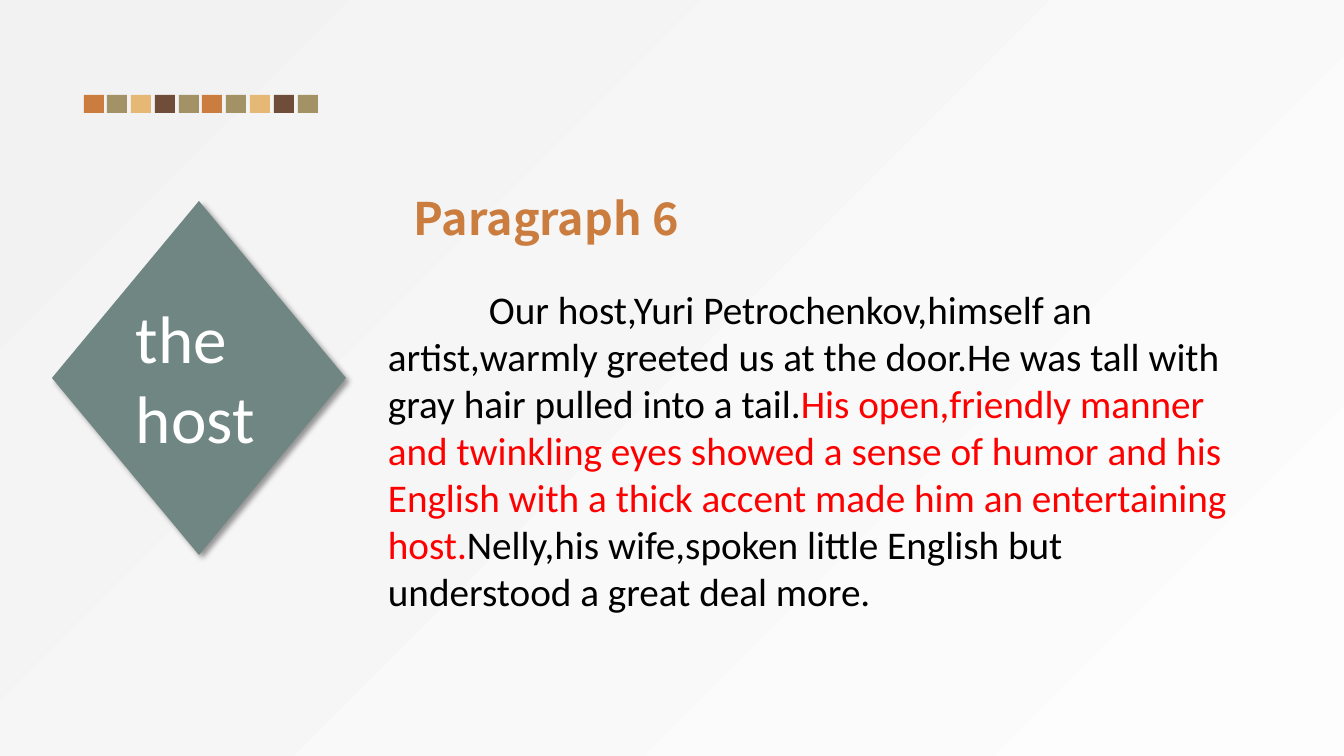
"""Build the slide about the host in paragraph 6."""
from lxml.etree import SubElement
from pptx import Presentation
from pptx.dml.color import RGBColor
from pptx.enum.shapes import MSO_SHAPE as Shape
from pptx.enum.text import MSO_ANCHOR as Anchor
from pptx.oxml.ns import qn
from pptx.util import Pt

EMU_PER_PX = 12192000 / 1344
COLORS = {
    "orange": "CB7D40", "olive": "A29266", "sand": "E6B875", "brown": "6F4D39",
    "teal": "6F8683", "red": "FF0000", "black": "000000", "white": "FFFFFF",
    "light": "FDFDFD", "grey": "F2F2F2",
}
STRIP = ["orange", "olive", "sand", "brown", "olive"] * 2
TITLE = {"size": Pt(32), "name": "Noto Sans CJK SC", "bold": True}
BODY = {"size": Pt(28), "name": "Calibri"}
LABEL = {"size": Pt(48), "name": "Calibri"}
STORY = [
    ("Our host,Yuri Petrochenkov,himself an artist,warmly greeted us at the door."
     "He was tall with gray hair pulled into a tail.", "black"),
    ("His open,friendly manner and twinkling eyes showed a sense of humor and his "
     "English with a thick accent made him an entertaining host.", "red"),
    ("Nelly,his wife,spoken little English but understood a great deal more.", "black"),
]


def px(value):
    """Turn pixels into EMU."""
    return round(value * EMU_PER_PX)


def rgb(name):
    """Look up a named colour."""
    return RGBColor.from_string(COLORS[name])


def paint_background(page):
    """Fill the page with a gradient centred on the lower right corner."""
    fill = page.background.fill
    fill.gradient()
    for stop, name in zip(fill.gradient_stops, ("light", "grey")):
        stop.color.rgb = rgb(name)
    gradient = page.element.find(".//" + qn("a:gradFill"))
    gradient.remove(gradient.find(qn("a:lin")))
    circle = SubElement(gradient, qn("a:path"), path="circle")
    SubElement(circle, qn("a:fillToRect"), l="100000", t="100000")


def add_block(page, kind, bounds, color):
    """Add a plain filled shape."""
    block = page.shapes.add_shape(kind, *map(px, bounds))
    block.shadow.inherit = False
    block.fill.solid()
    block.fill.fore_color.rgb = rgb(color)
    block.line.fill.background()
    return block


def add_shadow(block):
    """Give a shape a soft shadow to the lower right."""
    effects = block.element.spPr.find(qn("a:effectLst"))
    shadow = SubElement(effects, qn("a:outerShdw"), blurRad=str(Pt(4)),
                        dist=str(Pt(3)), dir="2700000", algn="tl", rotWithShape="0")
    color = SubElement(shadow, qn("a:srgbClr"), val=COLORS["black"])
    SubElement(color, qn("a:alpha"), val="40000")


def add_text(page, bounds, spans, style, indent=0, anchor=Anchor.TOP):
    """Add a wrapped text box with one paragraph of coloured spans."""
    box = page.shapes.add_textbox(*map(px, bounds))
    frame = box.text_frame
    frame.word_wrap = True
    frame.vertical_anchor = anchor
    para = frame.paragraphs[0]
    if indent:
        para._p.get_or_add_pPr().set("indent", str(px(indent)))
    for text, color in spans:
        span = para.add_run()
        span.text = text
        for key, value in style.items():
            setattr(span.font, key, value)
        span.font.color.rgb = rgb(color)


def main():
    """Build and save the deck."""
    deck = Presentation()
    deck.slide_width, deck.slide_height = px(1344), px(756)
    page = deck.slides.add_slide(deck.slide_layouts[6])
    paint_background(page)
    add_text(page, (404, 185, 394, 65), [("Paragraph 6", "orange")], TITLE,
             anchor=Anchor.MIDDLE)
    for index, color in enumerate(STRIP):
        left = 84 + 214 * index // (len(STRIP) - 1)
        add_block(page, Shape.RECTANGLE, (left, 95, 20, 18), color)
    add_text(page, (378, 280, 875, 343), STORY, BODY, indent=101)
    add_shadow(add_block(page, Shape.DIAMOND, (52, 201, 294, 354), "teal"))
    add_text(page, (126, 291, 174, 173), [("the host", "white")], LABEL)
    deck.save("out.pptx")


if __name__ == "__main__":
    main()
